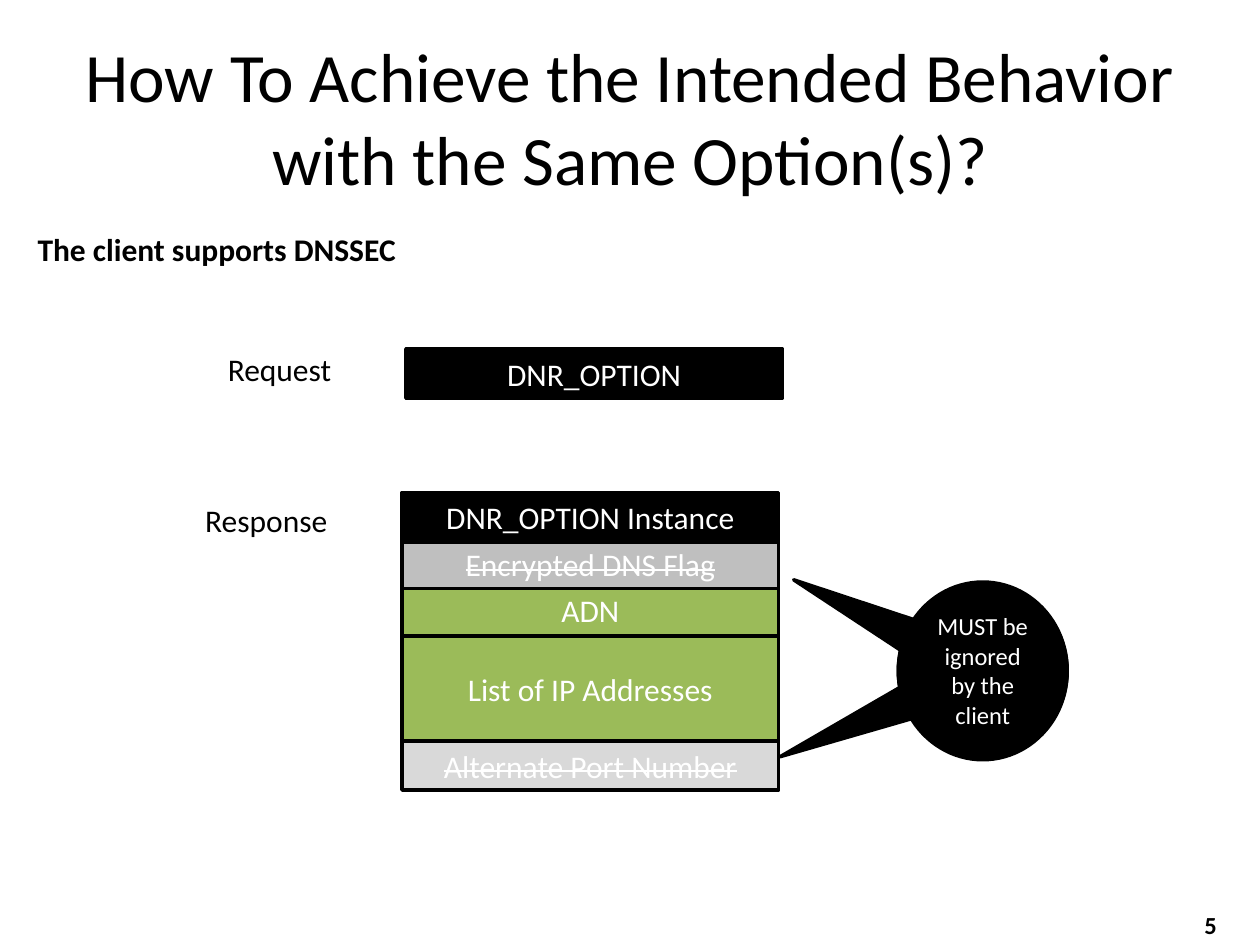
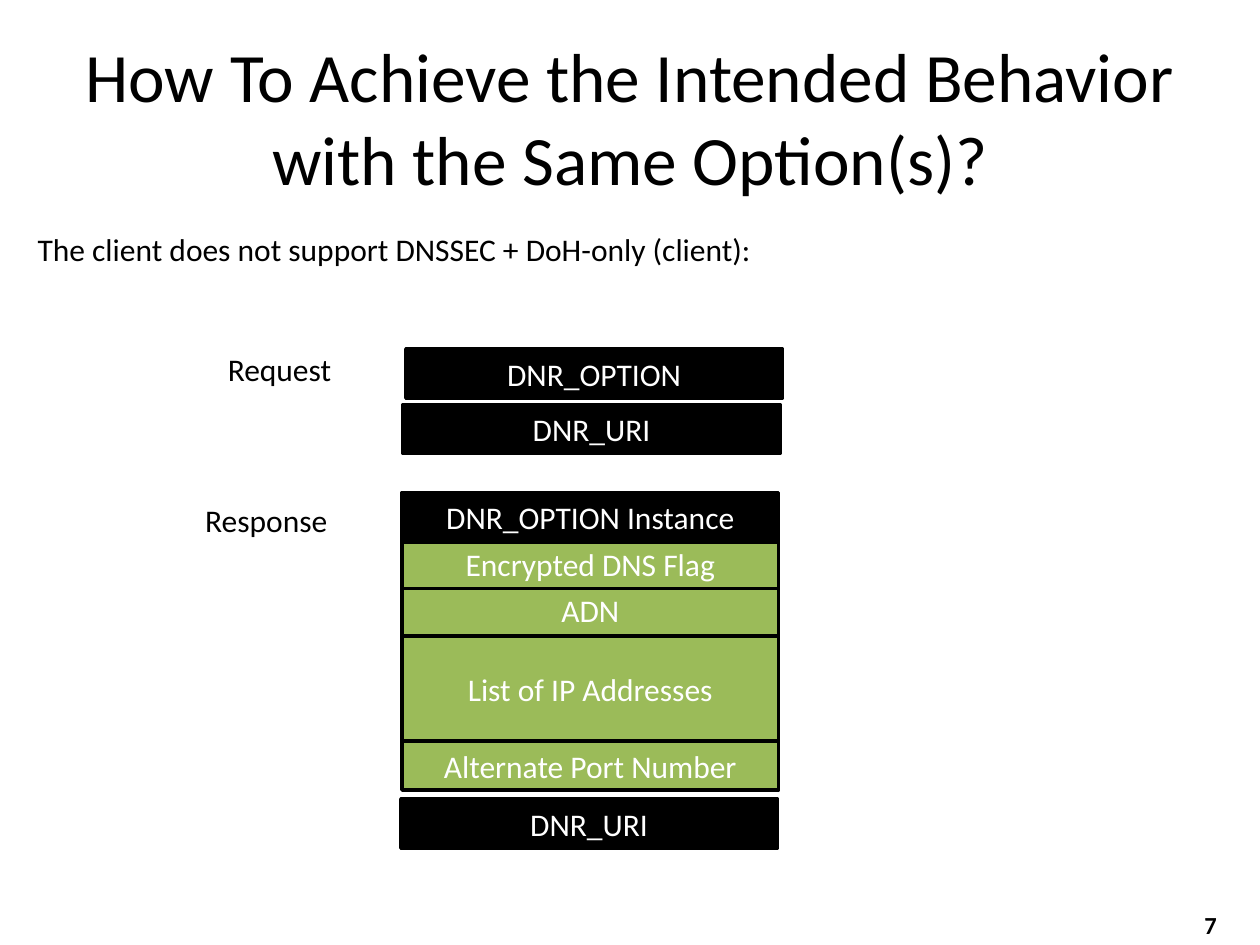
from pptx import Presentation
from pptx.dml.color import RGBColor
from pptx.enum.shapes import MSO_SHAPE
from pptx.enum.text import MSO_ANCHOR, MSO_AUTO_SIZE, PP_ALIGN
from pptx.util import Inches, Pt

RECTANGLE = MSO_SHAPE.RECTANGLE
CALLOUT = MSO_SHAPE.OVAL_CALLOUT
CENTER = PP_ALIGN.CENTER
MIDDLE = MSO_ANCHOR.MIDDLE
NO_AUTOFIT = MSO_AUTO_SIZE.NONE

FONT = "Calibri"
BLACK, WHITE = "000000", "FFFFFF"
GREEN, GRAY, LIGHT_GRAY = "9BBB59", "BFBFBF", "D9D9D9"
TITLE = "How To Achieve the Intended Behavior with the Same Option(s)?"
BOX_WIDTH, BOX_HEIGHT = 2.99, 0.39
INSTANCE_LEFT = 3.19
CALLOUT_LEFT, CALLOUT_WIDTH, CALLOUT_HEIGHT = 7.13, 1.34, 1.4


def color(hex_string):
    return RGBColor.from_string(hex_string)


class Deck:
    """Holds the shared style and the slide being built."""

    def __init__(self):
        self.presentation = Presentation()
        self.presentation.slide_width = Inches(10)
        self.presentation.slide_height = Inches(7.5)
        self.slide = None

    def set_text(self, shape, text, size=18, text_color=BLACK, bold=False,
                 alignment=None):
        frame = shape.text_frame
        frame.text = text
        paragraph = frame.paragraphs[0]
        paragraph.alignment = alignment
        font = paragraph.font
        font.name, font.size, font.bold = FONT, Pt(size), bold
        font.color.rgb = color(text_color)
        return paragraph

    def add_slide(self, number):
        layout = self.presentation.slide_layouts[5]
        self.slide = self.presentation.slides.add_slide(layout)
        title = self.slide.shapes.title
        title.left, title.top = Inches(0.5), Inches(0.3)
        title.width, title.height = Inches(9), Inches(1.25)
        title.text_frame.auto_size = NO_AUTOFIT
        title.text_frame.vertical_anchor = MIDDLE
        self.set_text(title, TITLE, 39.6, alignment=CENTER)
        self.add_label(number, 9.46, 7.17, 0.54, 0.33, size=14, bold=True)

    def add_label(self, text, left, top, width, height=0.4, **style):
        label = self.slide.shapes.add_textbox(
            Inches(left), Inches(top), Inches(width), Inches(height))
        label.text_frame.word_wrap = False
        self.set_text(label, text, **style)

    def add_shape(self, kind, left, top, width, height, fill):
        shape = self.slide.shapes.add_shape(
            kind, Inches(left), Inches(top), Inches(width), Inches(height))
        shape.shadow.inherit = False
        shape.fill.solid()
        shape.fill.fore_color.rgb = color(fill)
        shape.line.color.rgb = color(BLACK)
        shape.line.width = Pt(2)
        return shape

    def add_box(self, text, left, top, height=BOX_HEIGHT, fill=BLACK,
                struck=False):
        box = self.add_shape(RECTANGLE, left, top, BOX_WIDTH, height, fill)
        paragraph = self.set_text(box, text, text_color=WHITE,
                                  alignment=CENTER)
        if struck:
            properties = paragraph._p.get_or_add_pPr().get_or_add_defRPr()
            properties.set("strike", "sngStrike")

    def add_callout(self, top, tip_x, tip_y, text=None):
        callout = self.add_shape(CALLOUT, CALLOUT_LEFT, top, CALLOUT_WIDTH,
                                 CALLOUT_HEIGHT, BLACK)
        callout.adjustments[0] = tip_x
        callout.adjustments[1] = tip_y
        if text:
            self.set_text(callout, text, 14, WHITE, alignment=CENTER)

    def add_exchange(self, flag_fill, port_fill, struck):
        """Draw the request and the response with its option instance."""
        self.add_box("ADN", INSTANCE_LEFT, 4.63, 0.42, GREEN)
        self.add_box("List of IP Addresses", INSTANCE_LEFT, 5.05, 0.83, GREEN)
        self.add_box("Encrypted DNS Flag", INSTANCE_LEFT, 4.28,
                     fill=flag_fill, struck=struck)
        self.add_box("Alternate Port Number", INSTANCE_LEFT, 5.88,
                     fill=port_fill, struck=struck)
        self.add_label("Request", 1.71, 2.73, 1.03)
        self.add_label("Response", 1.53, 3.93, 1.18)
        self.add_box("DNR_OPTION Instance", INSTANCE_LEFT, 3.91)
        self.add_box("DNR_OPTION", 3.22, 2.77)


def main():
    deck = Deck()

    deck.add_slide("5")
    deck.add_label("The client supports DNSSEC", 0.2, 1.78, 3.07, bold=True)
    deck.add_exchange(GRAY, LIGHT_GRAY, struck=True)
    deck.add_callout(4.63, -1.12, -0.52)
    deck.add_callout(4.62, -1.2, 0.49, "MUST be ignored by the client")

    deck.add_slide("7")
    deck.add_label("The client does not support DNSSEC + DoH-only (client):",
                   0.2, 1.78, 5.94)
    deck.add_exchange(GREEN, GREEN, struck=False)
    deck.add_box("DNR_URI", 3.2, 3.21)
    deck.add_box("DNR_URI", 3.18, 6.34)

    deck.presentation.save("out.pptx")


if __name__ == "__main__":
    main()
